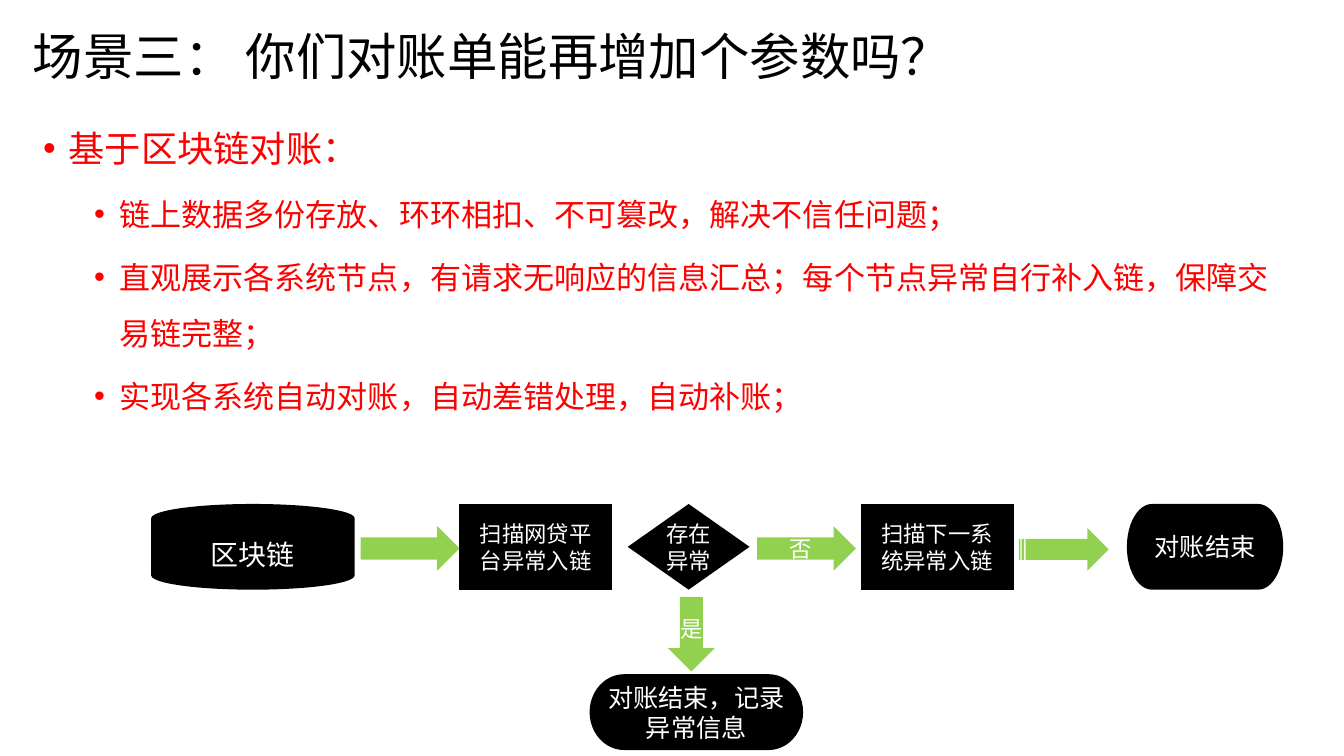
from lxml import etree
from pptx import Presentation
from pptx.dml.color import RGBColor
from pptx.enum.shapes import MSO_SHAPE
from pptx.enum.text import MSO_ANCHOR, MSO_AUTO_SIZE, PP_ALIGN
from pptx.oxml.ns import qn
from pptx.util import Cm, Pt

BLACK = RGBColor(0x00, 0x00, 0x00)
WHITE = RGBColor(0xFF, 0xFF, 0xFF)
RED = RGBColor(0xFF, 0x00, 0x00)
GREEN = RGBColor(0x92, 0xD0, 0x50)
LATIN_FONT = "Calibri"
CHINESE_FONT = "Noto Sans CJK SC"
LEFT, CENTER = PP_ALIGN.LEFT, PP_ALIGN.CENTER
TOP, MIDDLE = MSO_ANCHOR.TOP, MSO_ANCHOR.MIDDLE
NO_AUTOFIT = MSO_AUTO_SIZE.NONE
DISK = MSO_SHAPE.FLOWCHART_MAGNETIC_DISK
PROCESS = MSO_SHAPE.FLOWCHART_PREDEFINED_PROCESS
DECISION = MSO_SHAPE.FLOWCHART_DECISION
TERMINATOR = MSO_SHAPE.FLOWCHART_TERMINATOR
RIGHT_ARROW = MSO_SHAPE.RIGHT_ARROW
STRIPED_ARROW = MSO_SHAPE.STRIPED_RIGHT_ARROW
DOWN_ARROW = MSO_SHAPE.DOWN_ARROW

TITLE = "场景三： 你们对账单能再增加个参数吗？"
HEADING = "基于区块链对账："
POINTS = [
    "链上数据多份存放、环环相扣、不可篡改，解决不信任问题；",
    "直观展示各系统节点，有请求无响应的信息汇总；每个节点异常自行补入链，保障交易链完整；",
    "实现各系统自动对账，自动差错处理，自动补账；",
]
ROW_HEIGHT = 2.16
NODES = [
    (DISK, "区块链", 20, 0, 0, 5.13, ROW_HEIGHT),
    (PROCESS, "扫描网贷平台异常入链", 16, 7.77, 0, 3.84, ROW_HEIGHT),
    (DECISION, "存在异常", 16, 12.01, 0, 3.07, ROW_HEIGHT),
    (PROCESS, "扫描下一系统异常入链", 16, 17.88, 0, 3.86, ROW_HEIGHT),
    (TERMINATOR, "对账结束", 18, 24.59, 0, 3.94, ROW_HEIGHT),
    (TERMINATOR, "对账结束，记录异常信息", 18, 11.05, 4.29, 5.38, 1.91),
]
ARROWS = [
    (RIGHT_ARROW, "", 16, 5.28, 0.56, 2.49, 1.12),
    (RIGHT_ARROW, "否", 16, 15.27, 0.56, 2.49, 1.12),
    (STRIPED_ARROW, "", 16, 21.87, 0.61, 2.26, 1.07),
    (DOWN_ARROW, "是", 16, 13.03, 2.34, 1.17, 1.88),
]


def write(para, text, *, size, color, font=LATIN_FONT, align=LEFT, spacing=1.0, before=0):
    """Add one formatted span of text to a paragraph."""
    para.alignment = align
    para.line_spacing = spacing
    para.space_before = Pt(before)
    span = para.add_run()
    span.text = text
    span.font.name = font
    span.font.size = Pt(size)
    span.font.color.rgb = color
    latin = span.font._element.find(qn("a:latin"))
    east_asian = etree.Element(qn("a:ea"), typeface=CHINESE_FONT)
    latin.addnext(east_asian)


def add_bullet(para, indent, hanging):
    """Give a paragraph a round bullet with a hanging indent."""
    properties = para._p.get_or_add_pPr()
    properties.set("marL", str(indent))
    properties.set("indent", str(-hanging))
    etree.SubElement(properties, qn("a:buFont"), typeface="Arial")
    etree.SubElement(properties, qn("a:buChar"), char="•")


def place_title(page, left, top, width, height):
    """Move and fill the title placeholder."""
    title = page.shapes.title
    title.left, title.top, title.width, title.height = left, top, width, height
    frame = title.text_frame
    frame.auto_size = NO_AUTOFIT
    frame.word_wrap = True
    frame.vertical_anchor = MIDDLE
    frame.margin_left = Cm(0.83)
    write(frame.paragraphs[0], TITLE, size=36, color=BLACK, spacing=0.9)


def add_points(page, left, top, width, height):
    """Add the heading and its bulleted points."""
    box = page.shapes.add_textbox(left, top, width, height)
    frame = box.text_frame
    frame.word_wrap = True
    frame.vertical_anchor = TOP
    hanging = Cm(0.64)
    heading = frame.paragraphs[0]
    write(heading, HEADING, size=25.9, color=RED, spacing=1.5, before=10)
    add_bullet(heading, hanging, hanging)
    for point in POINTS:
        para = frame.add_paragraph()
        para.level = 1
        write(para, point, size=22.2, color=RED, spacing=1.5, before=5)
        add_bullet(para, 3 * hanging, hanging)


def add_step(page, kind, text, size, fill, left, top, width, height):
    """Add one filled flow shape with an optional centred label."""
    step = page.shapes.add_shape(kind, left, top, width, height)
    step.shadow.inherit = False
    step.fill.solid()
    step.fill.fore_color.rgb = fill
    step.line.fill.background()
    if text:
        frame = step.text_frame
        frame.word_wrap = True
        frame.vertical_anchor = MIDDLE
        frame.margin_left = frame.margin_right = 0
        frame.margin_top = frame.margin_bottom = 0
        write(frame.paragraphs[0], text, size=size, color=WHITE, font=CHINESE_FONT, align=CENTER)


def add_flow(page, left, top):
    """Add the reconciliation flow from its top left corner."""
    for steps, fill in ((NODES, BLACK), (ARROWS, GREEN)):
        for kind, text, size, x, y, width, height in steps:
            add_step(page, kind, text, size, fill,
                     left + Cm(x), top + Cm(y), Cm(width), Cm(height))


def main():
    """Build and save the deck."""
    deck = Presentation()
    deck.slide_width, deck.slide_height = Cm(33.87), Cm(19.05)
    page = deck.slides.add_slide(deck.slide_layouts[5])
    place_title(page, 0, Cm(0.84), deck.slide_width, Cm(1.3))
    add_points(page, Cm(0.84), Cm(2.51), Cm(31.52), Cm(8.36))
    add_flow(page, Cm(3.81), Cm(12.7))
    deck.save("out.pptx")


if __name__ == "__main__":
    main()
